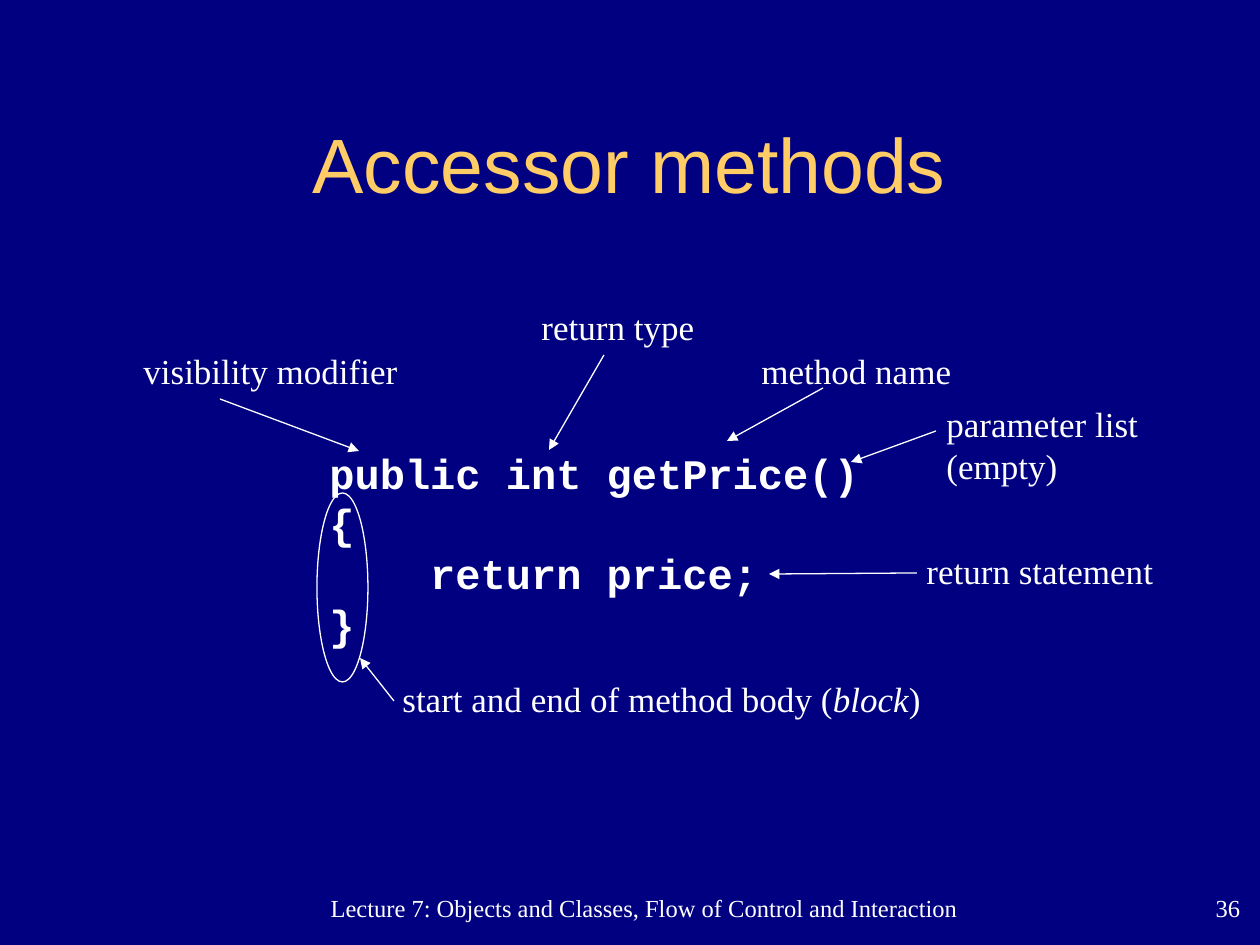
from dataclasses import dataclass

from lxml.etree import SubElement
from pptx import Presentation
from pptx.dml.color import RGBColor
from pptx.enum.shapes import MSO_CONNECTOR as Connector, MSO_SHAPE as Shape
from pptx.enum.text import MSO_ANCHOR as Anchor, MSO_AUTO_SIZE as AutoSize, PP_ALIGN as Align
from pptx.oxml.ns import qn
from pptx.util import Emu, Pt


@dataclass(frozen=True)
class Theme:
    """Colours, fonts and type sizes of the slide."""
    background: RGBColor = RGBColor(0x00, 0x00, 0x80)
    accent: RGBColor = RGBColor(0xFF, 0xCC, 0x66)
    ink: RGBColor = RGBColor(0xFF, 0xFF, 0xFF)
    title_font: str = "Arial"
    code_font: str = "Courier New"
    label_font: str = "Times New Roman"
    title_size: int = 44
    code_size: int = 24
    label_size: int = 20
    footer_size: int = 14
    line_width: float = 0.75


class Slide:
    """Draws themed elements on one page, measured in px."""

    SCALE = 914400 / 126

    def __init__(self, deck, theme):
        """Add a blank page with the theme background."""
        self.theme = theme
        self.page = deck.slides.add_slide(deck.slide_layouts[6])
        self.page.background.fill.solid()
        self.page.background.fill.fore_color.rgb = theme.background

    @classmethod
    def emu(cls, *lengths):
        """Turn px lengths into EMU."""
        return [Emu(round(length * cls.SCALE)) for length in lengths]

    def text(self, place, lines, font, size, color=None, bold=None, align=Align.LEFT, wrap=True):
        """Add a text box with one paragraph per line and return it."""
        box = self.page.shapes.add_textbox(*self.emu(*place))
        frame = box.text_frame
        frame.word_wrap = wrap
        for index, line in enumerate(lines):
            para = frame.add_paragraph() if index else frame.paragraphs[0]
            para.alignment = align
            para.font.name = font
            para.font.size = Pt(size)
            para.font.bold = bold
            para.font.color.rgb = color or self.theme.ink
            for part, italic in line if isinstance(line, list) else [(line, None)]:
                span = para.add_run()
                span.text = part
                span.font.italic = italic
        return box

    def title(self, place, words):
        """Add the centred page title."""
        theme = self.theme
        box = self.text(place, [words], theme.title_font, theme.title_size, theme.accent, align=Align.CENTER)
        box.text_frame.vertical_anchor = Anchor.MIDDLE

    def code(self, place, lines):
        """Add a bold code listing."""
        theme = self.theme
        box = self.text(place, lines, theme.code_font, theme.code_size, bold=True, wrap=False)
        self.fit(box, theme.code_size)

    def label(self, place, words, wrap=False):
        """Add a label that names a part of the code."""
        theme = self.theme
        box = self.text(place, [words], theme.label_font, theme.label_size, wrap=wrap)
        self.fit(box, theme.label_size)

    def fit(self, box, size):
        """Fit a box to its text with even line spacing."""
        box.text_frame.auto_size = AutoSize.SHAPE_TO_FIT_TEXT
        for para in box.text_frame.paragraphs:
            para.line_spacing = Pt(size * 1.2)

    def footer(self, place, words, align):
        """Add a footer text without margins."""
        theme = self.theme
        box = self.text(place, [words], theme.label_font, theme.footer_size, align=align)
        frame = box.text_frame
        frame.margin_left = frame.margin_right = frame.margin_top = frame.margin_bottom = 0

    def ellipse(self, place):
        """Add an outlined ellipse."""
        ring = self.page.shapes.add_shape(Shape.OVAL, *self.emu(*place))
        ring.shadow.inherit = False
        ring.fill.background()
        self.stroke(ring.line)

    def arrow(self, start, end):
        """Add a straight arrow from start to end."""
        arrow = self.page.shapes.add_connector(Connector.STRAIGHT, *self.emu(*start, *end))
        self.stroke(arrow.line)
        SubElement(arrow.line._get_or_add_ln(), qn("a:tailEnd"), type="triangle")
        SubElement(arrow._element.spPr, qn("a:effectLst"))

    def stroke(self, line):
        """Give a line the theme colour and width."""
        line.color.rgb = self.theme.ink
        line.width = Pt(self.theme.line_width)


def main():
    """Build the slide on accessor methods."""
    deck = Presentation()
    deck.slide_width, deck.slide_height = Slide.emu(1260, 945)
    slide = Slide(deck, Theme())

    slide.title((94, 84, 1071, 158), "Accessor methods")
    slide.code((317, 441, 562, 214), ["public int getPrice()", "{", "    return price;", "}"])
    slide.ellipse((317, 493, 51, 189))

    block = [("start and end of method body (", None), ("block", True), (")", None)]
    for place, words in [
        ((529, 299, 182, 55), "return type"),
        ((749, 343, 220, 55), "method name"),
        ((390, 671, 548, 55), block),
        ((914, 543, 256, 55), "return statement"),
        ((131, 343, 284, 55), "visibility modifier"),
    ]:
        slide.label(place, words)
    slide.label((934, 396, 285, 97), "parameter list (empty)", wrap=True)

    for start, end in [
        ((394, 701), (360, 658)),
        ((604, 355), (549, 450)),
        ((823, 388), (727, 441)),
        ((936, 431), (851, 462)),
        ((917, 573), (769, 574)),
        ((220, 399), (359, 451)),
    ]:
        slide.arrow(start, end)

    slide.footer((273, 893, 743, 32), "Lecture 7: Objects and Classes, Flow of Control and Interaction", Align.CENTER)
    slide.footer((1060, 893, 180, 33), "36", Align.RIGHT)
    deck.save("out.pptx")


if __name__ == "__main__":
    main()
